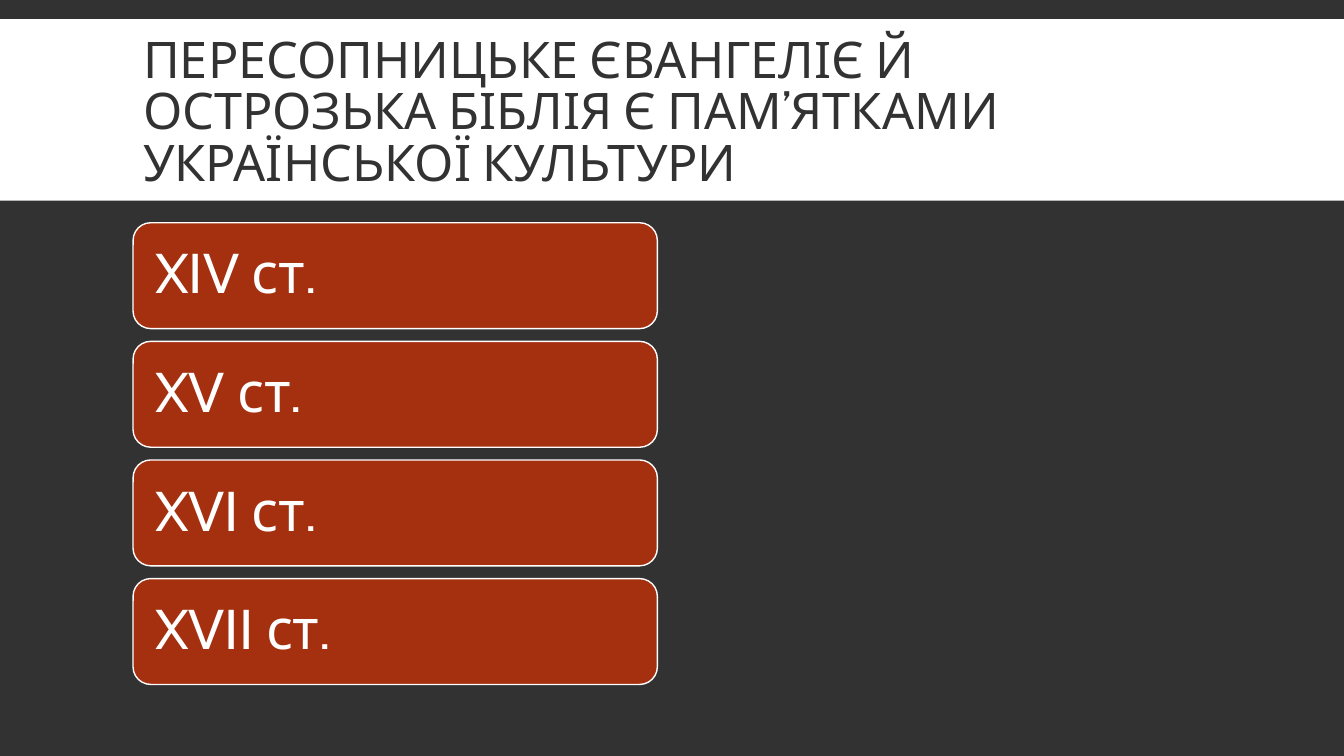
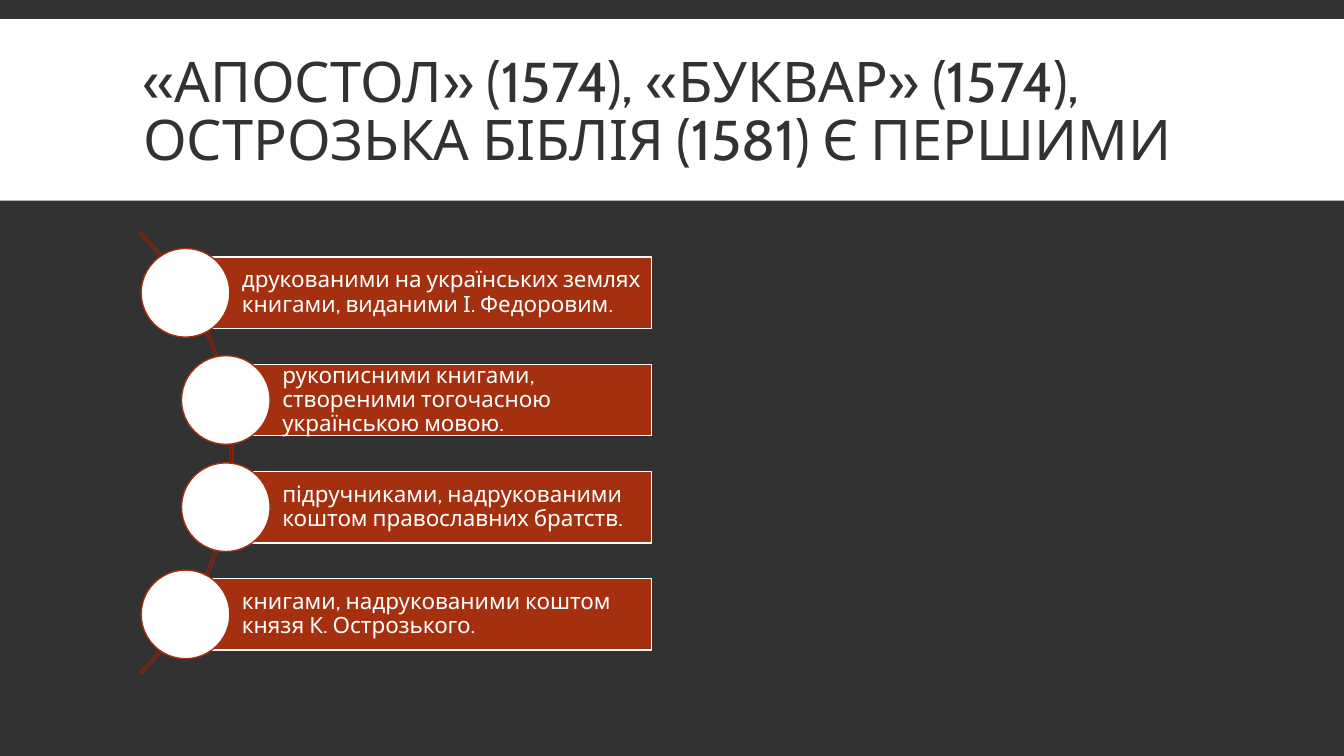
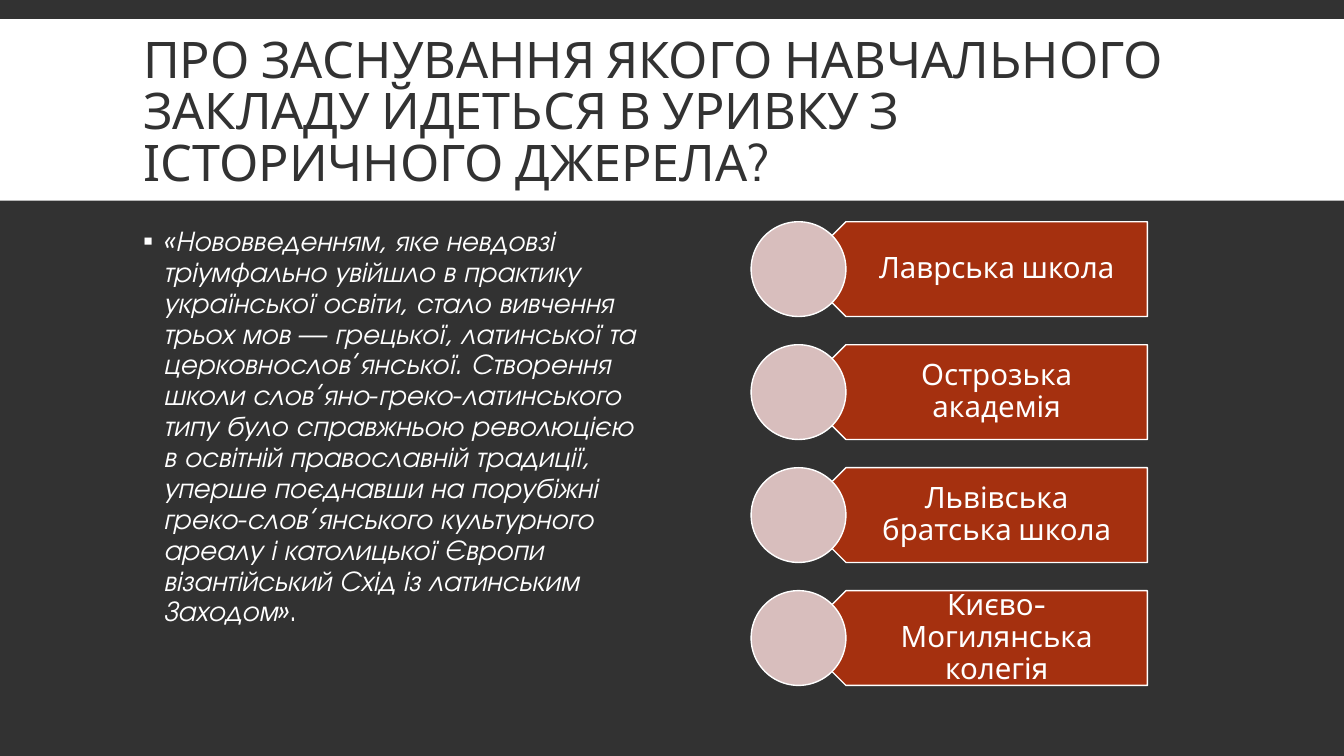
"""Build three history quiz slides on early Ukrainian books and schools."""
from dataclasses import dataclass

from lxml.etree import SubElement
from pptx import Presentation
from pptx.dml.color import RGBColor as RGB
from pptx.enum.shapes import MSO_SHAPE as SHAPE
from pptx.enum.text import MSO_ANCHOR as ANCHOR, MSO_AUTO_SIZE as AUTO, PP_ALIGN as ALIGN
from pptx.oxml.ns import qn
from pptx.util import Inches, Pt


@dataclass(frozen=True)
class Theme:
    dark: RGB = RGB.from_string("323232")
    white: RGB = RGB.from_string("FFFFFF")
    red: RGB = RGB.from_string("A5300F")
    arc: RGB = RGB.from_string("84260C")
    pink: RGB = RGB.from_string("D8BEBD")
    font: str = "Cabin"
    quote_font: str = "TeX Gyre Adventor"
    title: float = 40
    long_title: float = 36
    century: float = 40
    book: float = 16
    quote: float = 20.4
    school: float = 21


T = Theme()
TITLE_ONLY, TITLE_BODY = 5, 1

CENTURY_TITLE = "ПЕРЕСОПНИЦЬКЕ ЄВАНГЕЛІЄ Й ОСТРОЗЬКА БІБЛІЯ Є ПАМ’ЯТКАМИ УКРАЇНСЬКОЇ КУЛЬТУРИ"
CENTURIES = ["XIV ст.", "XV ст.", "XVI ст.", "XVII ст."]

BOOK_TITLE = "«АПОСТОЛ» (1574), «БУКВАР» (1574), ОСТРОЗЬКА БІБЛІЯ (1581) Є ПЕРШИМИ"
BOOKS = [
    (1.84, "друкованими на українських землях книгами, виданими І. Федоровим."),
    (2.24, "рукописними книгами, створеними тогочасною українською мовою."),
    (2.24, "підручниками, надрукованими коштом православних братств."),
    (1.84, "книгами, надрукованими коштом князя К. Острозького."),
]

SCHOOL_TITLE = "ПРО ЗАСНУВАННЯ ЯКОГО НАВЧАЛЬНОГО ЗАКЛАДУ ЙДЕТЬСЯ В УРИВКУ З ІСТОРИЧНОГО ДЖЕРЕЛА?"
SCHOOLS = ["Лаврська школа", "Острозька академія", "Львівська братська школа",
           "Києво-Могилянська колегія"]
QUOTE = (
    "«Нововведенням, яке невдовзі тріумфально увійшло в практику української освіти, "
    "стало вивчення трьох мов — грецької, латинської та церковнослов’янської. "
    "Створення школи слов’яно-греко-латинського типу було справжньою революцією "
    "в освітній православній традиції, уперше поєднавши на порубіжні "
    "греко-слов’янського культурного ареалу і католицької Європи "
    "візантійський Схід із латинським Заходом»"
)


def box(*lengths):
    return [Inches(v) for v in lengths]


def rows(top, bottom, height, items):
    step = (bottom - top - height) / (len(items) - 1)
    return [(top + i * step, item) for i, item in enumerate(items)]


def add_run(p, text, size, color=T.white, font=T.font, italic=False):
    r = p.add_run()
    r.text = text
    r.font.name, r.font.size, r.font.italic = font, Pt(size), italic
    r.font.color.rgb = color


def add_shape(s, kind, at, fill, line=None):
    sp = s.shapes.add_shape(kind, *box(*at))
    sp.shadow.inherit = False
    if fill is None:
        sp.fill.background()
    else:
        sp.fill.solid()
        sp.fill.fore_color.rgb = fill
    if line is None:
        sp.line.fill.background()
    else:
        sp.line.color.rgb = line
        sp.line.width = Pt(1)
    return sp


def add_label(sp, text, size, insets, align=ALIGN.LEFT):
    tf = sp.text_frame
    tf.word_wrap, tf.vertical_anchor = True, ANCHOR.MIDDLE
    tf.margin_left, tf.margin_top, tf.margin_right, tf.margin_bottom = box(*insets)
    p = tf.paragraphs[0]
    p.alignment, p.line_spacing = align, 0.9
    add_run(p, text, size)


def add_disc(s, x, y, size, fill, line):
    add_shape(s, SHAPE.OVAL, (x - size / 2, y - size / 2, size, size), fill, line)


def place(sp, *at):
    sp.left, sp.top, sp.width, sp.height = box(*at)


def add_slide(prs, layout, title, size):
    s = prs.slides.add_slide(prs.slide_layouts[layout])
    tf = s.shapes.title.text_frame
    tf.auto_size, tf.vertical_anchor = AUTO.NONE, ANCHOR.MIDDLE
    p = tf.paragraphs[0]
    p.alignment, p.line_spacing = ALIGN.LEFT, 0.85
    add_run(p, title, size, T.dark)
    return s


def style_master(prs, s):
    master = prs.slide_master
    master.background.fill.solid()
    master.background.fill.fore_color.rgb = T.dark
    place(master.placeholders[0], 1.32, 0.31, 10.7, 1.65)
    band = add_shape(s, SHAPE.RECTANGLE, (0, 0.19, 13.33, 1.8), T.white)
    master.shapes.element.insert(2, band.element)


def fill_centuries(s):
    height = 1.05
    for y, text in rows(2.21, 6.79, height, CENTURIES):
        sp = add_shape(s, SHAPE.ROUNDED_RECTANGLE, (1.32, y, 5.2, height), T.red, T.white)
        add_label(sp, text, T.century, [0.17] * 4)


def fill_books(s):
    arc = add_shape(s, SHAPE.BLOCK_ARC, (-3.88, 1.4, 6.19, 6.19), None, T.arc)
    for i, value in enumerate((189, 27, 0.004)):
        arc.adjustments[i] = value
    height, right = 0.71, 6.46
    for y, (x, text) in rows(2.55, 6.45, height, BOOKS):
        sp = add_shape(s, SHAPE.RECTANGLE, (x, y, right - x, height), T.red, T.white)
        add_label(sp, text, T.book, (0.56, 0.04, 0.04, 0.04))
        add_disc(s, x, y + height / 2, 0.88, T.white, T.red)


def fill_quote(s):
    body = s.placeholders[1]
    place(body, 1.32, 2.2, 5.2, 4.6)
    tf = body.text_frame
    tf.auto_size = AUTO.NONE
    p = tf.paragraphs[0]
    pPr = p._p.get_or_add_pPr()
    pPr.set("marL", str(Inches(0.2)))
    pPr.set("indent", str(Inches(-0.2)))
    color = SubElement(SubElement(pPr, qn("a:buClr")), qn("a:srgbClr"))
    color.set("val", str(T.white))
    SubElement(pPr, qn("a:buChar")).set("char", "▪")
    p.line_spacing, p.space_before, p.space_after = 0.9, Pt(0), Pt(2)
    add_run(p, QUOTE, T.quote, font=T.quote_font, italic=True)
    add_run(p, ".", T.quote, font=T.quote_font)


def fill_schools(s):
    x, height = 7.92, 0.94
    for y, text in rows(2.2, 6.8, height, SCHOOLS):
        plate = add_shape(s, SHAPE.PENTAGON, (x, y, 3.46, height), T.red, T.white)
        plate.rotation = 180
        label = s.shapes.add_textbox(*box(8.15, y, 3.22, height))
        add_label(label, text, T.school, (0.41, 0.09, 0.16, 0.09), ALIGN.CENTER)
        add_disc(s, x, y + height / 2, height, T.pink, T.white)


def main():
    prs = Presentation()
    prs.slide_width, prs.slide_height = box(13.33, 7.5)

    s = add_slide(prs, TITLE_ONLY, CENTURY_TITLE, T.long_title)
    style_master(prs, s)
    fill_centuries(s)

    s = add_slide(prs, TITLE_ONLY, BOOK_TITLE, T.title)
    fill_books(s)

    s = add_slide(prs, TITLE_BODY, SCHOOL_TITLE, T.long_title)
    fill_quote(s)
    fill_schools(s)

    prs.save("out.pptx")


if __name__ == "__main__":
    main()
